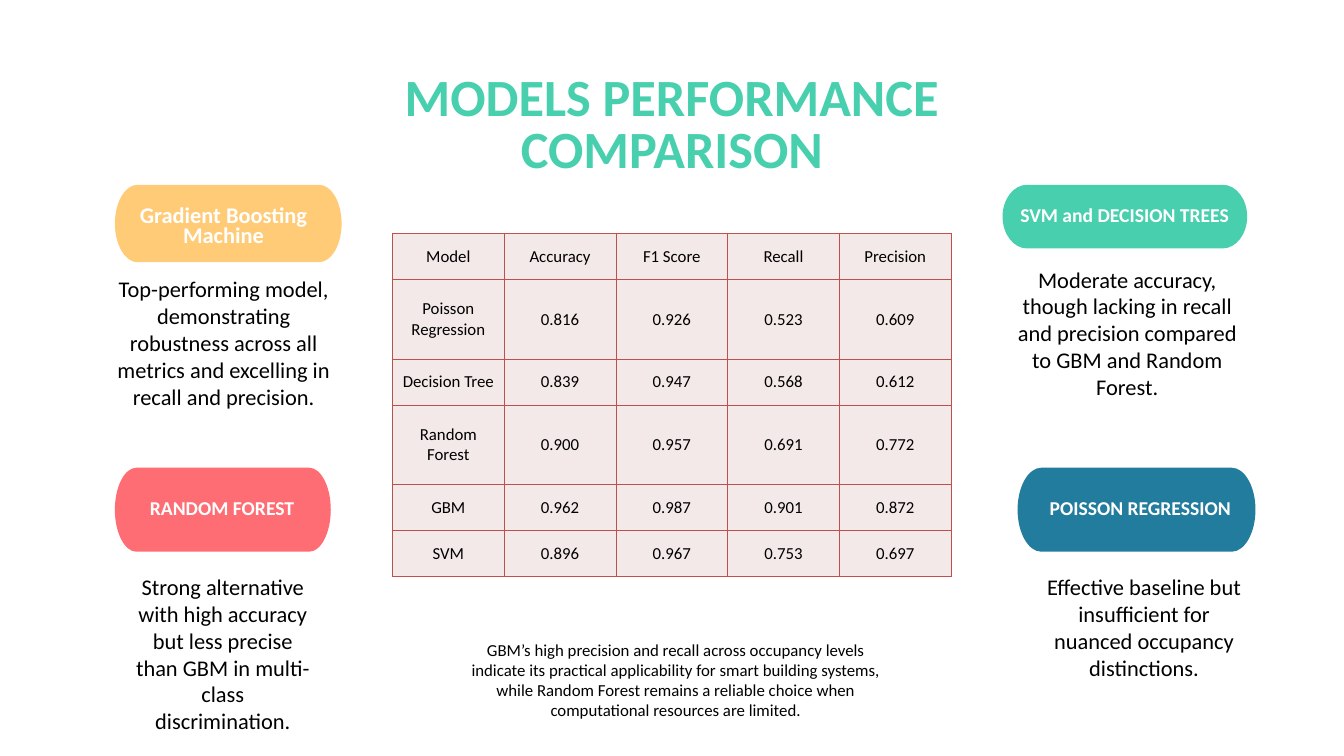
from dataclasses import dataclass

from lxml import etree
from pptx import Presentation
from pptx import util as u
from pptx.dml import color
from pptx.enum import text
from pptx.oxml import ns

Pt = u.Pt


@dataclass(frozen=True)
class Theme:
    font: str = "Calibri"
    white: str = "FFFFFF"
    black: str = "000000"
    green: str = "48CFAE"
    gold: str = "FFCB77"
    red: str = "FE6D73"
    blue: str = "227C9D"
    cell: str = "F4E9E9"
    rule: str = "C0504D"
    title: int = 56
    body: int = 24
    label: int = 21
    small: int = 18


THEME = Theme()
PLAIN = "{2D5ABB26-0587-4C30-8999-92F81FD0307C}"  # table style without lines
ARC = 0.55  # handle length of a quarter ellipse

# Each card: label, label size, colour, pill box, label box, body, body box
CARDS = [
    ("SVM and DECISION TREES", THEME.label, THEME.green,
     (1074.2, 198, 262.1, 68.2), (1090.1, 221.8, 229.7, 21.6),
     "Moderate accuracy, though lacking in recall and precision "
     "compared to GBM and Random Forest.", (1079.3, 281.1, 257, 152.6)),
    ("Gradient Boosting Machine", THEME.body, THEME.gold,
     (123.1, 198, 242.9, 83), (124.6, 223.6, 229.7, 43.2),
     "Top-performing model, demonstrating robustness across all metrics "
     "and excelling in recall and precision.", (118.3, 291.2, 242.6, 152.6)),
    ("RANDOM FOREST", THEME.label, THEME.red,
     (123.1, 501.1, 231.3, 90), (123.1, 535, 229.7, 21.6),
     "Strong alternative with high accuracy but less precise than GBM in "
     "multi-class discrimination.", (136.8, 610.4, 203.8, 181.4)),
    ("POISSON REGRESSION", THEME.label, THEME.blue,
     (1090.3, 501.1, 254.9, 90), (1106.8, 535, 229.7, 21.6),
     "Effective baseline but insufficient for nuanced occupancy "
     "distinctions.", (1106.6, 610.6, 238.3, 123.8)),
]

NOTE = ("GBM’s high precision and recall across occupancy levels indicate its "
        "practical applicability for smart building systems, while Random "
        "Forest remains a reliable choice when computational resources are "
        "limited.")

SCORES = [
    ("Model", "Accuracy", "F1 Score", "Recall", "Precision"),
    ("Poisson Regression", "0.816", "0.926", "0.523", "0.609"),
    ("Decision Tree", "0.839", "0.947", "0.568", "0.612"),
    ("Random Forest", "0.900", "0.957", "0.691", "0.772"),
    ("GBM", "0.962", "0.987", "0.901", "0.872"),
    ("SVM", "0.896", "0.967", "0.753", "0.697"),
]
ROWS = (49, 85.6, 49, 85.6, 49, 49)


def rgb(code):
    return color.RGBColor.from_string(code)


def write(frame, words, size, tint, bold=False, lead=None):
    """Put one centred paragraph into a text frame."""
    frame.text = words
    para = frame.paragraphs[0]
    para.alignment = text.PP_ALIGN.CENTER
    if lead:
        para.line_spacing = Pt(lead)
    font = para.runs[0].font
    font.name, font.size, font.bold = THEME.font, Pt(size), bold
    font.color.rgb = rgb(tint)


def trim(frame):
    """Remove the insets and start the text at the top."""
    frame.margin_left = frame.margin_right = 0
    frame.margin_top = frame.margin_bottom = 0
    frame.vertical_anchor = text.MSO_ANCHOR.TOP


def add_title(slide, words):
    title = slide.shapes.title
    title.left, title.top = Pt(420.8), Pt(80.6)
    title.width, title.height = Pt(598.3), Pt(112.3)
    frame = title.text_frame
    write(frame, words, THEME.title, THEME.green, True, 55.4)
    trim(frame)
    frame.word_wrap = True
    frame.auto_size = text.MSO_AUTO_SIZE.SHAPE_TO_FIT_TEXT


def add_text(slide, box, words, size, tint=THEME.black, bold=False, lead=None):
    frame = slide.shapes.add_textbox(*map(Pt, box)).text_frame
    frame.word_wrap = True
    frame.auto_size = text.MSO_AUTO_SIZE.SHAPE_TO_FIT_TEXT
    write(frame, words, size, tint, bold, lead)
    return frame


def bend(line, start, end, flat):
    """Turn a line segment into a quarter ellipse; flat starts level."""
    (x, y), (x2, y2) = start, end
    near, far = ARC, 1 - ARC
    if flat:
        grips = (x + near * (x2 - x), y), (x2, y + far * (y2 - y))
    else:
        grips = (x, y + near * (y2 - y)), (x + far * (x2 - x), y2)
    curve = etree.Element(ns.qn("a:cubicBezTo"))
    for left, top in (*grips, end):
        etree.SubElement(curve, ns.qn("a:pt"), x=str(round(left)),
                         y=str(round(top)))
    line.getparent().replace(line, curve)


def add_pill(slide, box, tint):
    """Draw a bar whose ends are half ellipses, narrower than they are tall."""
    left, top, width, height = map(Pt, box)
    edge, mid = round(width * 0.1), round(height / 2)
    dots = [(edge, 0), (width - edge, 0), (width, mid), (width - edge, height),
            (edge, height), (0, mid), (edge, 0)]
    path = slide.shapes.build_freeform(*dots[0])
    path.add_line_segments(dots[1:], close=True)
    pill = path.convert_to_shape(left, top)
    lines = list(pill._element.iter(ns.qn("a:lnTo")))
    for spot in (1, 2, 4, 5):
        bend(lines[spot], dots[spot], dots[spot + 1], spot in (1, 4))
    pill.shadow.inherit = False
    pill.fill.solid()
    pill.fill.fore_color.rgb = rgb(tint)
    pill.line.fill.background()


def add_card(slide, card):
    name, size, tint, pill, tag, words, box = card
    add_pill(slide, pill, tint)
    trim(add_text(slide, tag, name, size, THEME.white, True, THEME.label))
    add_text(slide, box, words, THEME.body)


def add_rules(cell):
    """Draw a thin line on all four sides of a cell."""
    props = cell._tc.get_or_add_tcPr()
    for spot, side in enumerate(("lnL", "lnR", "lnT", "lnB")):
        line = etree.Element(ns.qn(f"a:{side}"), w=str(Pt(1)))
        fill = etree.SubElement(line, ns.qn("a:solidFill"))
        etree.SubElement(fill, ns.qn("a:srgbClr"), val=THEME.rule)
        props.insert(spot, line)


def add_scores(slide):
    box = (420.5, 250.3, 598.6, sum(ROWS))
    table = slide.shapes.add_table(
        len(SCORES), len(SCORES[0]), *map(Pt, box)).table
    table.first_row = table.horz_banding = False
    table._tbl.tblPr.find(ns.qn("a:tableStyleId")).text = PLAIN
    for row, tall, words in zip(table.rows, ROWS, SCORES):
        row.height = Pt(tall)
        for cell, word in zip(row.cells, words):
            write(cell.text_frame, word, THEME.small, THEME.black)
            cell.vertical_anchor = text.MSO_ANCHOR.MIDDLE
            cell.fill.solid()
            cell.fill.fore_color.rgb = rgb(THEME.cell)
            add_rules(cell)


def main():
    deck = Presentation()
    deck.slide_width, deck.slide_height = Pt(1440), Pt(810)
    slide = deck.slides.add_slide(deck.slide_layouts[5])
    add_title(slide, "MODELS PERFORMANCE COMPARISON")
    for card in CARDS:
        add_card(slide, card)
    add_text(slide, (493.2, 681.8, 461.5, 94.3), NOTE, THEME.small)
    add_scores(slide)
    deck.save("out.pptx")


if __name__ == "__main__":
    main()
